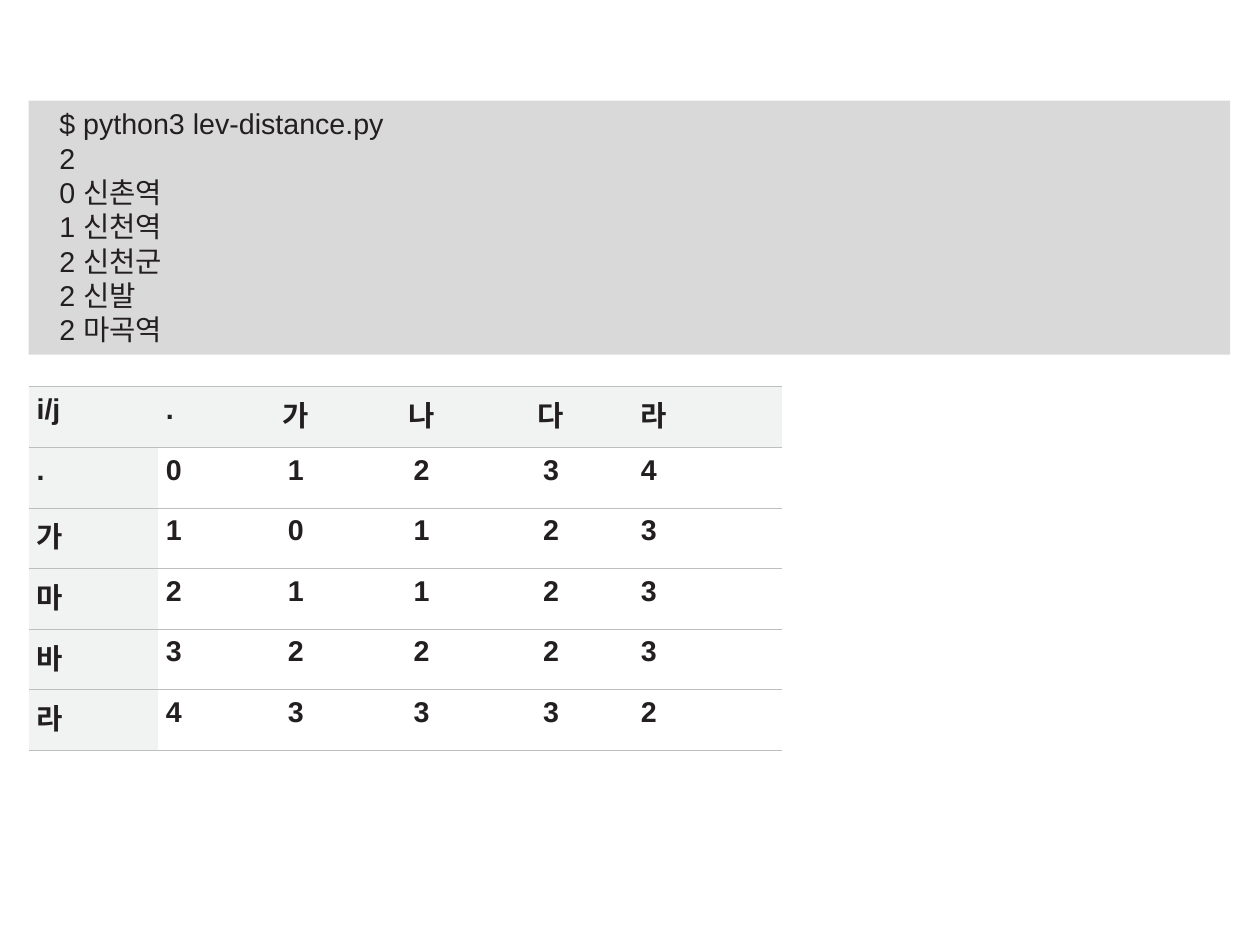
from lxml.etree import SubElement as Sub
from pptx import Presentation as Deck
from pptx.dml.color import RGBColor as RGB
from pptx.enum.shapes import MSO_SHAPE as Shape
from pptx.enum.text import MSO_ANCHOR as Anchor, MSO_AUTO_SIZE as Auto, PP_ALIGN as Align
from pptx.oxml.ns import qn
from pptx.util import Inches, Pt

INK = RGB(0x23, 0x1F, 0x20)
GREY = RGB(0xD9, 0xD9, 0xD9)
PALE = RGB(0xF1, 0xF2, 0xF2)
RULE = RGB(0xBC, 0xBE, 0xC0)

LOG = ["$ python3 lev-distance.py", "2", "0 신촌역", "1 신천역", "2 신천군", "2 신발", "2 마곡역"]
GRID = ["i/j . 가 나 다 라", ". 0 1 2 3 4", "가 1 0 1 2 3",
        "마 2 1 1 2 3", "바 3 2 2 2 3", "라 4 3 3 3 2"]
COLS = [1.13, 0.67, 1.07, 1.13, 1.13, 1.45]
DENTS = [0.07, 0.07, None, None, None, 0.22]


class Page:
    font = "Arial"
    size = Pt(18)

    def __init__(self, deck):
        self.slide = deck.slides.add_slide(deck.slide_layouts[6])

    def label(self, para, text, dent=None, bold=False):
        if dent is None:
            para.alignment = Align.CENTER
        else:
            para.alignment = Align.LEFT
            props = para._p.get_or_add_pPr()
            props.set("marL", str(Inches(dent)))
            props.set("indent", "0")
        run = para.add_run()
        run.text = text
        run.font.name = self.font
        run.font.size = self.size
        run.font.bold = bold
        run.font.color.rgb = INK

    def panel(self, x, y, w, h, lines):
        box = self.slide.shapes.add_shape(
            Shape.RECTANGLE, Inches(x), Inches(y), Inches(w), Inches(h))
        box.shadow.inherit = False
        box.fill.solid()
        box.fill.fore_color.rgb = GREY
        box.line.fill.background()
        frame = box.text_frame
        frame.word_wrap = True
        frame.auto_size = Auto.SHAPE_TO_FIT_TEXT
        frame.vertical_anchor = Anchor.TOP
        for i, line in enumerate(lines):
            para = frame.add_paragraph() if i else frame.paragraphs[0]
            self.label(para, line, 0.17)

    def edge(self, cell):
        props = cell._tc.get_or_add_tcPr()
        for side in "LRTB":
            line = Sub(props, qn("a:ln" + side), w=str(Pt(0.5)))
            if side in "LR":
                Sub(line, qn("a:noFill"))
            else:
                fill = Sub(line, qn("a:solidFill"))
                Sub(fill, qn("a:srgbClr"), val=str(RULE))

    def table(self, x, y, cols, high, rows, dents):
        table = self.slide.shapes.add_table(
            len(rows), len(cols), Inches(x), Inches(y),
            Inches(sum(cols)), Inches(high * len(rows))).table
        table.first_row = table.horz_banding = False
        for col, wide in zip(table.columns, cols):
            col.width = Inches(wide)
        for r, row in enumerate(rows):
            table.rows[r].height = Inches(high)
            for c, text in enumerate(row.split()):
                cell = table.cell(r, c)
                cell.margin_left = cell.margin_right = cell.margin_bottom = 0
                cell.margin_top = Inches(0.06)
                self.edge(cell)
                if r == 0 or c == 0:
                    cell.fill.solid()
                    cell.fill.fore_color.rgb = PALE
                else:
                    cell.fill.background()
                para = cell.text_frame.paragraphs[0]
                para.space_before = Pt(3)
                self.label(para, text, dents[c], True)


def main():
    deck = Deck()
    deck.slide_width = Inches(11.01)
    deck.slide_height = Inches(8.26)
    page = Page(deck)
    page.panel(0.25, 0.88, 10.5, 2.22, LOG)
    page.table(0.25, 3.38, COLS, 0.53, GRID, DENTS)
    deck.save("out.pptx")


if __name__ == "__main__":
    main()
